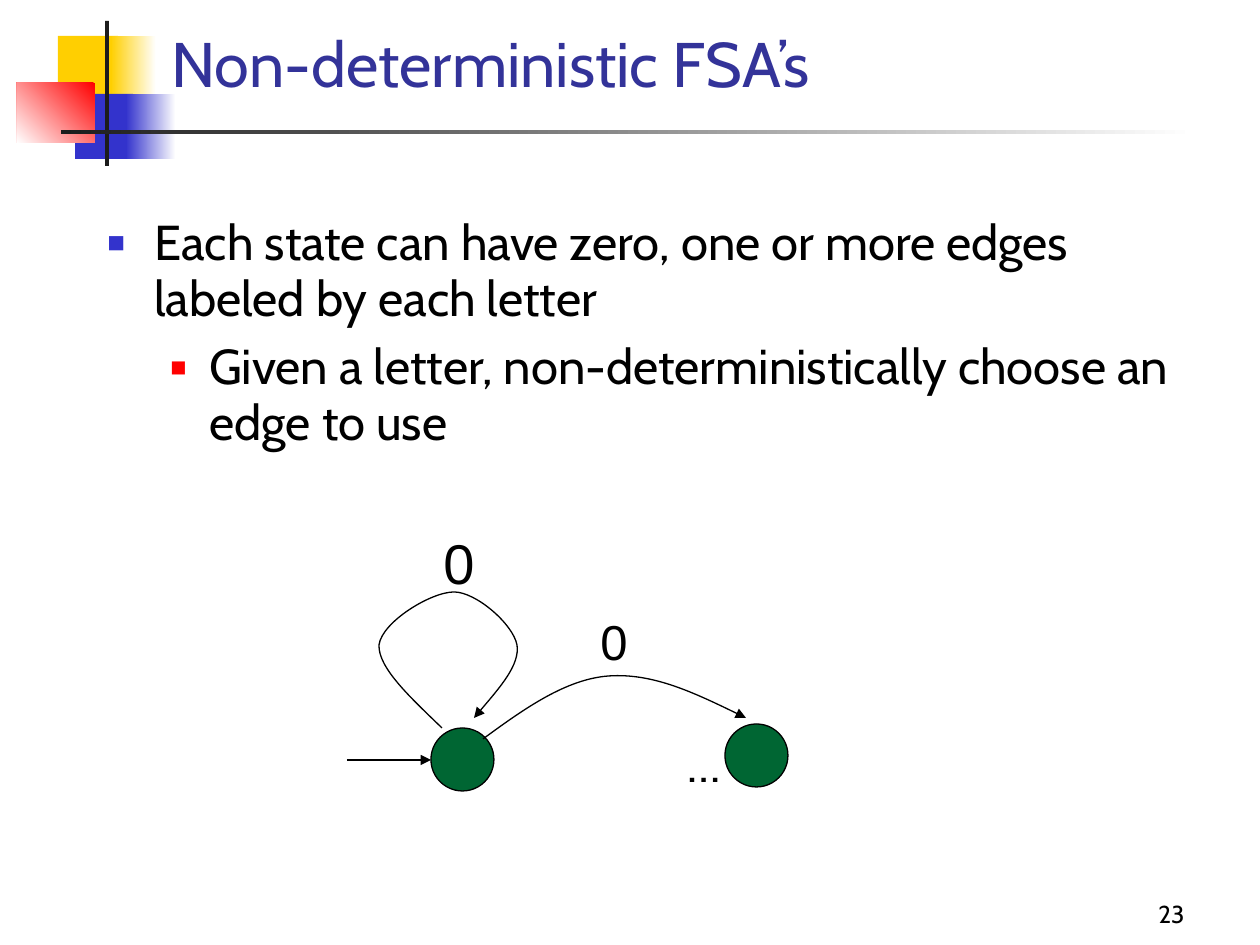
from lxml.etree import SubElement
from pptx import Presentation
from pptx.dml.color import RGBColor
from pptx.enum.shapes import MSO_CONNECTOR, MSO_SHAPE
from pptx.enum.text import MSO_ANCHOR, PP_ALIGN
from pptx.oxml.ns import qn
from pptx.util import Emu, Pt

PX = 914400 / 126  # EMU per px

WHITE = RGBColor(0xFF, 0xFF, 0xFF)
BLACK = RGBColor(0x00, 0x00, 0x00)
CHARCOAL = RGBColor(0x1C, 0x1C, 0x1C)
YELLOW = RGBColor(0xFF, 0xCF, 0x01)
BLUE = RGBColor(0x33, 0x33, 0xCC)
RED = RGBColor(0xFF, 0x00, 0x00)
TITLE_BLUE = RGBColor(0x33, 0x33, 0x99)
GREEN = RGBColor(0x00, 0x66, 0x33)

# Header ornament: box, colours (two make a gradient), gradient angle
ORNAMENT = [
    ((58, 36, 60, 65), [YELLOW], 0),
    ((111, 36, 45, 65), [WHITE, YELLOW], 180),
    ((75, 94, 58, 65), [BLUE], 0),
    ((126, 94, 50, 65), [WHITE, BLUE], 180),
    ((17, 83, 78, 60), [RED, WHITE], 225),
    ((105, 21, 4, 145), [CHARCOAL], 0),
    ((61, 130, 1134, 4), [WHITE, CHARCOAL], 180),
]

TITLE = "Non-deterministic FSA’s"
PAGE_NUMBER = "23"
# Text, left margin, indent, bullet colour, bullet size in percent
BULLETS = [
    ("Each state can have zero, one or more edges labeled by each letter",
     47, -47, BLUE, 60),
    ("Given a letter, non-deterministically choose an edge to use",
     102, -39, RED, 55),
]

# Automaton
STATE_SIZE = 63
STATES = [(431, 728), (725, 724)]
START_ARROW = (347, 760, 431, 760)
# Start point, then three points for each Bézier segment
EDGES = [
    [(483, 739), (524, 709), (566, 679), (609, 676),
     (653, 673), (699, 695), (746, 718)],
    [(442, 728), (411, 698), (378, 668), (379, 645), (382, 622), (431, 592),
     (454, 592), (476, 592), (513, 624), (517, 645), (520, 665), (496, 692),
     (474, 718)],
]
EDGE_LABELS = [("0", (431, 522, 63, 77), 32), ("0", (588, 605, 53, 69), 28)]
ELLIPSIS = ("…", (675, 727, 60, 72), 28)


def px(value):
    return Emu(round(value * PX))


def lengths(values):
    return [px(value) for value in values]


def style_font(font, size, color, name="Cabin"):
    font.size, font.name = Pt(size), name
    font.color.rgb = color


def add_text(box, text, size, color=BLACK, name="Cabin",
             anchor=MSO_ANCHOR.TOP, align=PP_ALIGN.LEFT, wrap=True):
    frame = slide.shapes.add_textbox(*lengths(box)).text_frame
    frame.word_wrap = wrap
    frame.vertical_anchor = anchor
    frame.text = text
    for paragraph in frame.paragraphs:
        paragraph.alignment = align
        for run in paragraph.runs:
            style_font(run.font, size, color, name)
    return frame


def add_bullet(paragraph, margin, indent, color, percent):
    props = paragraph._p.get_or_add_pPr()
    props.set("marL", str(px(margin)))
    props.set("indent", str(px(indent)))
    bullet_color = SubElement(props, qn("a:buClr"))
    SubElement(bullet_color, qn("a:srgbClr"), val=str(color))
    SubElement(props, qn("a:buSzPct"), val=str(percent * 1000))
    SubElement(props, qn("a:buFont"), typeface="Arial")
    SubElement(props, qn("a:buChar"), char="■")


def style_line(line, arrow=False):
    line.color.rgb = BLACK
    line.width = Pt(0.75)
    if arrow:
        SubElement(line._get_or_add_ln(), qn("a:tailEnd"), type="triangle")


def add_curve(points):
    """Draw a cubic Bézier curve through a start point and point triples."""
    start, *rest = points
    builder = slide.shapes.build_freeform(*start, scale=PX)
    builder.add_line_segments(rest, close=False)
    curve = builder.convert_to_shape()
    outline = curve._element.find(".//" + qn("a:path"))
    segments = outline.findall(qn("a:lnTo"))
    for first in range(0, len(segments), 3):
        cubic = SubElement(outline, qn("a:cubicBezTo"))
        for segment in segments[first:first + 3]:
            cubic.append(segment[0])
            outline.remove(segment)
    curve.shadow.inherit = False
    curve.fill.background()
    style_line(curve.line, arrow=True)


prs = Presentation()
prs.slide_width, prs.slide_height = px(1260), px(945)
slide = prs.slides.add_slide(prs.slide_layouts[6])

# Header ornament
for box, colors, angle in ORNAMENT:
    block = slide.shapes.add_shape(MSO_SHAPE.RECTANGLE, *lengths(box))
    block.shadow.inherit = False
    block.line.fill.background()
    if len(colors) == 1:
        block.fill.solid()
        block.fill.fore_color.rgb = colors[0]
    else:
        block.fill.gradient()
        block.fill.gradient_angle = angle
        for stop, color in zip(block.fill.gradient_stops, colors):
            stop.color.rgb = color

# Title, bullets and page number
add_text((159, 23, 1074, 83), TITLE, 36, TITLE_BLUE, anchor=MSO_ANCHOR.BOTTOM)
body = add_text((95, 210, 1113, 260), "\n".join(row[0] for row in BULLETS), 28)
for level, (paragraph, row) in enumerate(zip(body.paragraphs, BULLETS)):
    paragraph.level = level
    paragraph.line_spacing = 0.95
    paragraph.space_before = Pt(7 if level else 0)
    add_bullet(paragraph, *row[1:])
add_text((935, 872, 262, 63), PAGE_NUMBER, 14,
         anchor=MSO_ANCHOR.BOTTOM, align=PP_ALIGN.RIGHT)

# States
for left, top in STATES:
    state = slide.shapes.add_shape(
        MSO_SHAPE.OVAL, *lengths((left, top, STATE_SIZE, STATE_SIZE)))
    state.shadow.inherit = False
    state.fill.solid()
    state.fill.fore_color.rgb = GREEN
    style_line(state.line)

# Start arrow and edges
start_arrow = slide.shapes.add_connector(
    MSO_CONNECTOR.STRAIGHT, *lengths(START_ARROW))
style_line(start_arrow.line, arrow=True)
SubElement(start_arrow._element.spPr, qn("a:effectLst"))
for edge in EDGES:
    add_curve(edge)

# Edge labels and ellipsis
for text, box, size in EDGE_LABELS:
    add_text(box, text, size, name="Arial", wrap=False)
text, box, size = ELLIPSIS
add_text(box, text, size, wrap=False)

prs.save("out.pptx")
